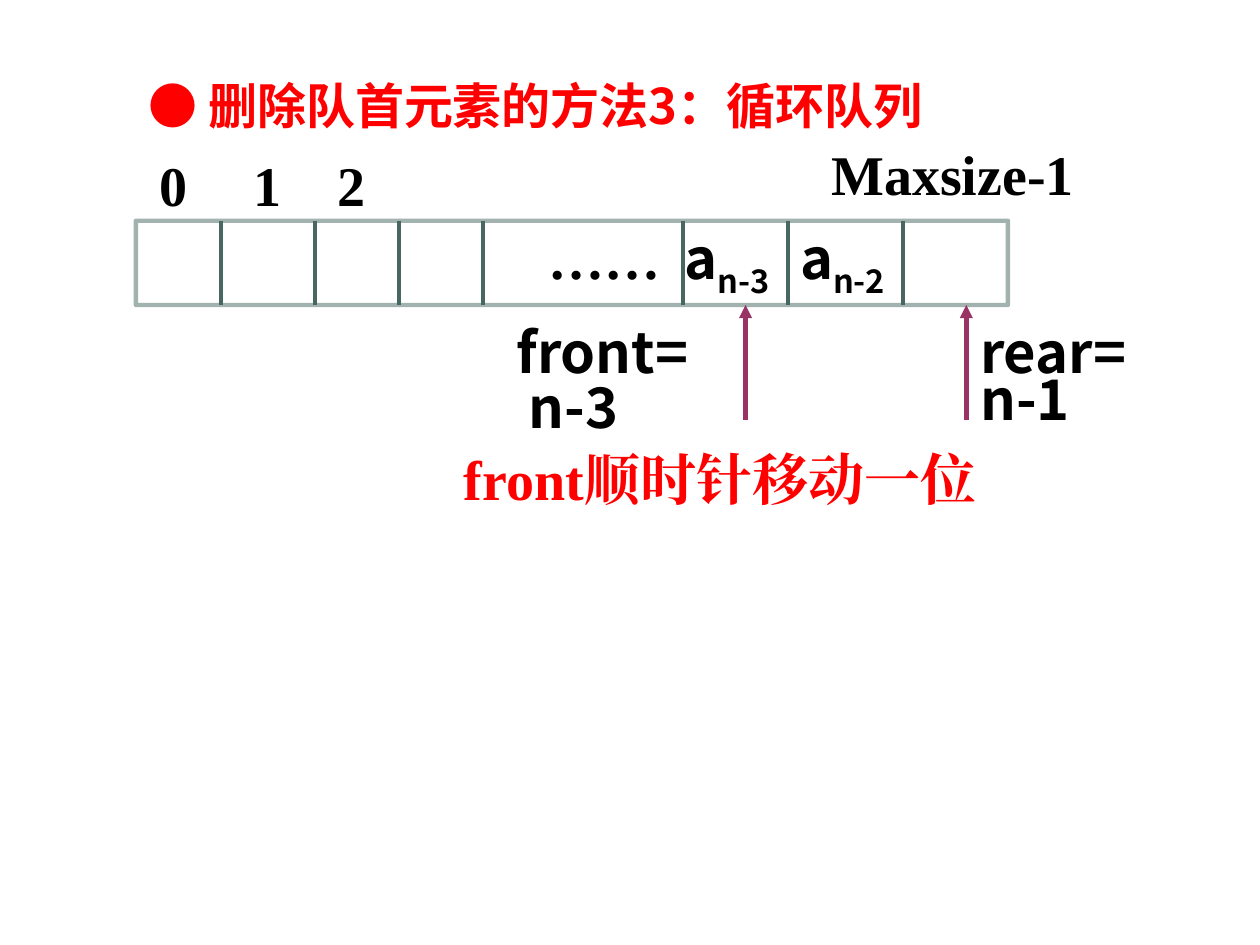
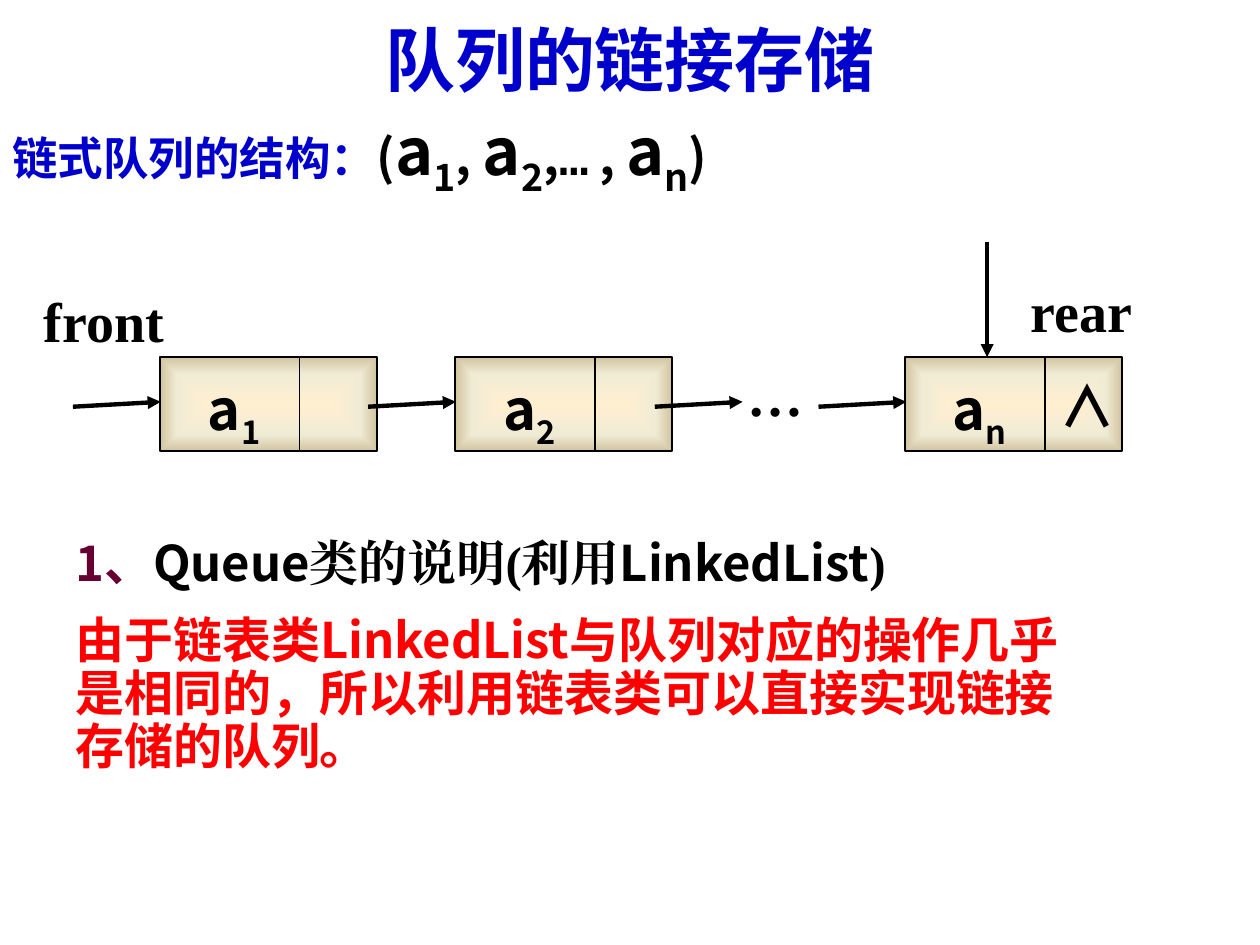
import pptx
import pptx.dml.color
import pptx.enum.shapes
import pptx.enum.text
import pptx.oxml
import pptx.oxml.ns
import pptx.util
from lxml import etree

Cm = pptx.util.Cm
Pt = pptx.util.Pt
RGBColor = pptx.dml.color.RGBColor
qn = pptx.oxml.ns.qn

BLACK = RGBColor(0x00, 0x00, 0x00)
RED = RGBColor(0xFF, 0x00, 0x00)
BLUE = RGBColor(0x00, 0x00, 0xCC)
PURPLE = RGBColor(0x66, 0x00, 0x33)
PLUM = RGBColor(0x99, 0x33, 0x66)
GREEN = RGBColor(0x46, 0x68, 0x61)
NODE_STOPS = (
    (0, RGBColor(0xFF, 0xEF, 0xD1)),
    (65000, RGBColor(0xF0, 0xEB, 0xD5)),
    (100000, RGBColor(0xD1, 0xC3, 0x9F)),
)
SANS = "Noto Sans CJK SC"
SERIF = "Times New Roman"
MONO = "Courier New"
CENTER = pptx.enum.text.PP_ALIGN.CENTER
NODE_TOP, NODE_WIDTH, NODE_HEIGHT = 7.2, 4.37, 1.9


def set_font(font, face=None, size=None, color=None):
    """Apply the given face, size and colour to a font."""
    if size:
        font.size = Pt(size)
    if color is not None:
        font.color.rgb = color
    if face:
        font.name = face
        etree.SubElement(font._rPr, qn("a:ea")).set("typeface", face)


def add_spans(para, spans):
    """Add runs given as plain strings or as pairs of text and overrides."""
    for item in spans:
        text, changes = (item, {}) if isinstance(item, str) else item
        span = para.add_run()
        span.text = text
        changes = dict(changes)
        if changes.pop("subscript", False):
            span._r.get_or_add_rPr().set("baseline", "-25000")
        set_font(span.font, **changes)


def add_para(frame, spans, face=SANS, size=32, color=BLACK, align=None,
             spacing=None, before=None, indent=0):
    """Write one bold paragraph, using the empty first one if it is free."""
    para = frame.paragraphs[0]
    if para.runs:
        para = frame.add_paragraph()
    if indent:
        para._p.get_or_add_pPr().set("marL", str(Cm(indent)))
    if align is not None:
        para.alignment = align
    if spacing:
        para.line_spacing = spacing
    if before:
        para.space_before = Pt(before)
    para.font.bold = True
    set_font(para.font, face, size, color)
    add_spans(para, spans)


def add_box(page, left, top, width, height, inset=0.28):
    """Add an empty wrapping text box and return its text frame."""
    box = page.shapes.add_textbox(Cm(left), Cm(top), Cm(width), Cm(height))
    box.text_frame.word_wrap = True
    box.text_frame.margin_top = Cm(inset)
    return box.text_frame


def add_label(page, left, top, width, spans, height=1.6, **style):
    """Add a text box that holds one paragraph."""
    add_para(add_box(page, left, top, width, height), spans, **style)


def add_line(page, start, end, color, weight, arrow=False):
    """Draw a straight line, with an arrowhead at its end if asked."""
    line = page.shapes.add_connector(
        pptx.enum.shapes.MSO_CONNECTOR.STRAIGHT,
        Cm(start[0]), Cm(start[1]), Cm(end[0]), Cm(end[1]))
    line.line.color.rgb = color
    line.line.width = Pt(weight)
    if arrow:
        etree.SubElement(line.line._get_or_add_ln(), qn("a:tailEnd")).set("type", "triangle")
    etree.SubElement(line._element.spPr, qn("a:effectLst"))


def add_rectangle(page, left, top, width, height, color, weight):
    """Draw an unfilled rectangle and return it."""
    shape = page.shapes.add_shape(
        pptx.enum.shapes.MSO_SHAPE.RECTANGLE, Cm(left), Cm(top), Cm(width), Cm(height))
    shape.shadow.inherit = False
    shape.fill.background()
    shape.line.color.rgb = color
    shape.line.width = Pt(weight)
    return shape


def fill_from_centre(shape, stops):
    """Fill a shape with a gradient that runs from its centre to its edges."""
    stop_xml = "".join(
        f'<a:gs pos="{position}"><a:srgbClr val="{color}"/></a:gs>' for position, color in stops)
    gradient = pptx.oxml.parse_xml(
        f'<a:gradFill {pptx.oxml.ns.nsdecls("a")} rotWithShape="1"><a:gsLst>{stop_xml}</a:gsLst>'
        '<a:path path="shape"><a:fillToRect l="50000" t="50000" r="50000" b="50000"/></a:path>'
        '</a:gradFill>')
    properties = shape._element.spPr
    properties.replace(properties.find(qn("a:noFill")), gradient)


def element_name(index):
    """Return the spans of the letter a with an index."""
    return ["a", (index, {"subscript": True})]


def add_node(page, left, index):
    """Draw a list node with its value, its link cell and the arrow into it."""
    fill_from_centre(
        add_rectangle(page, left, NODE_TOP, NODE_WIDTH, NODE_HEIGHT, BLACK, 1), NODE_STOPS)
    divider = left + 2.81
    add_line(page, (divider, NODE_TOP), (divider, NODE_TOP + NODE_HEIGHT), BLACK, 1)
    add_label(page, left + 0.18, 7.42, 2.62, element_name(index),
              height=1.35, align=CENTER, spacing=0.8)


def add_link(page, left):
    """Draw the arrow that leads from one node to the next."""
    add_line(page, (left, 8.2), (left + 1.77, 8.1), BLACK, 2.5, arrow=True)


def build_circular_queue(page):
    """Show removal from the head of a circular queue."""
    top, bottom = 4.45, 6.15
    frame = add_rectangle(page, 2.74, top, 17.58, bottom - top, GREEN, 2.5)
    frame_color = frame.line._get_or_add_ln().find(".//" + qn("a:srgbClr"))
    etree.SubElement(frame_color, qn("a:alpha")).set("val", "50000")
    for x in (4.45, 6.35, 8.05, 9.73, 13.77, 15.88, 18.21):
        add_line(page, (x, top), (x, bottom), GREEN, 2.25)
    for x in (15.03, 19.48):
        add_line(page, (x, 8.47), (x, bottom), PLUM, 2.5, arrow=True)

    add_label(page, 2.74, 1.06, 19.69, ["● 删除队首元素的方法3：循环队列"],
              size=28, color=RED, spacing=1.15)
    for text, left, label_top, width in (
            ("0", 2.96, 2.75, 1.27), ("1", 4.87, 2.75, 1.27), ("2", 6.56, 2.75, 1.27),
            ("Maxsize-1", 16.51, 2.54, 5.5), ("……", 10.8, 4.23, 3.18)):
        add_label(page, left, label_top, width, [text], face=SERIF)
    for index, left in (("n-3", 13.55), ("n-2", 15.88)):
        add_label(page, left, 4.23, 2.54, element_name(index))
    for name, value, left, width, spacing, indent in (
            ("front=", "n-3", 10.16, 4.23, 0.8, 0.25),
            ("rear=", "n-1", 19.51, 4.88, 0.65, 0)):
        pointer = add_box(page, left, 6.13, width, 2.6)
        add_para(pointer, [name])
        add_para(pointer, [value], spacing=spacing, indent=indent)
    add_label(page, 9.1, 8.69, 10.97, ["front顺时针移动一位"], face=SERIF, color=RED)


def build_linked_queue(page):
    """Show the linked storage of a queue."""
    large = {"size": 37}
    large_index = {"size": 37, "subscript": True}
    heading = add_box(page, 0, 0, 25.4, 5, inset=0.33)
    add_para(heading, ["队列的链接存储"], size=40, color=BLUE, align=CENTER)
    add_para(heading, [
        ("链式队列的结构：", {"size": 26, "color": BLUE}), "(",
        ("a", large), ("1", large_index), ", ",
        ("a", large), ("2", large_index), ",", ("…", {"face": MONO}), " , ",
        ("a", large), ("n", large_index), ")"], size=28, before=5.8)

    for index, left in (("1", 3.23), ("2", 9.18), ("n", 18.25)):
        add_node(page, left, index)
    for left in (1.47, 7.42, 13.2, 16.5):
        add_link(page, left)
    add_line(page, (19.9, 4.87), (19.9, NODE_TOP), BLACK, 2.5, arrow=True)
    add_label(page, 20.87, 7.2, 2.12, ["∧"], align=CENTER)
    for text, left, top, width in (
            ("front", 0.63, 5.5, 3.39), ("rear", 20.53, 5.29, 2.96), ("…", 14.82, 6.98, 1.9)):
        add_label(page, left, top, width, [text], face=SERIF)

    notes = add_box(page, 1.27, 10.58, 20.96, 5.13)
    add_para(notes, [
        ("1、", {"color": PURPLE}), "Queue", ("类的说明(利用", {"face": SERIF}),
        "LinkedList", (")", {"face": SERIF})], size=28, spacing=0.9)
    add_para(notes, ["由于链表类LinkedList与队列对应的操作几乎是相同的，"
                     "所以利用链表类可以直接实现链接存储的队列。"],
             size=28, color=RED, spacing=0.9, before=14)


def main():
    """Build the deck and save it."""
    deck = pptx.Presentation()
    deck.slide_width, deck.slide_height = Cm(25.4), Cm(19.05)
    for build in (build_circular_queue, build_linked_queue):
        build(deck.slides.add_slide(deck.slide_layouts[6]))
    deck.save("out.pptx")


if __name__ == "__main__":
    main()
